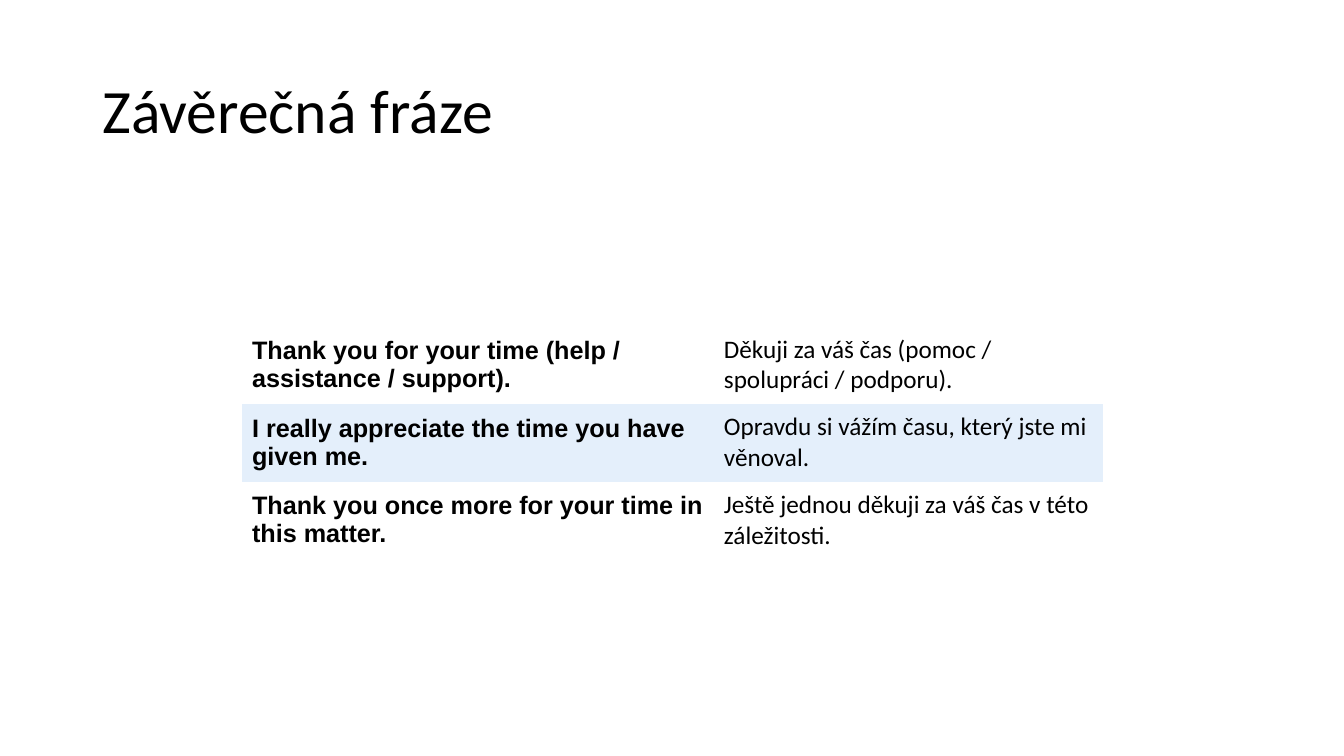
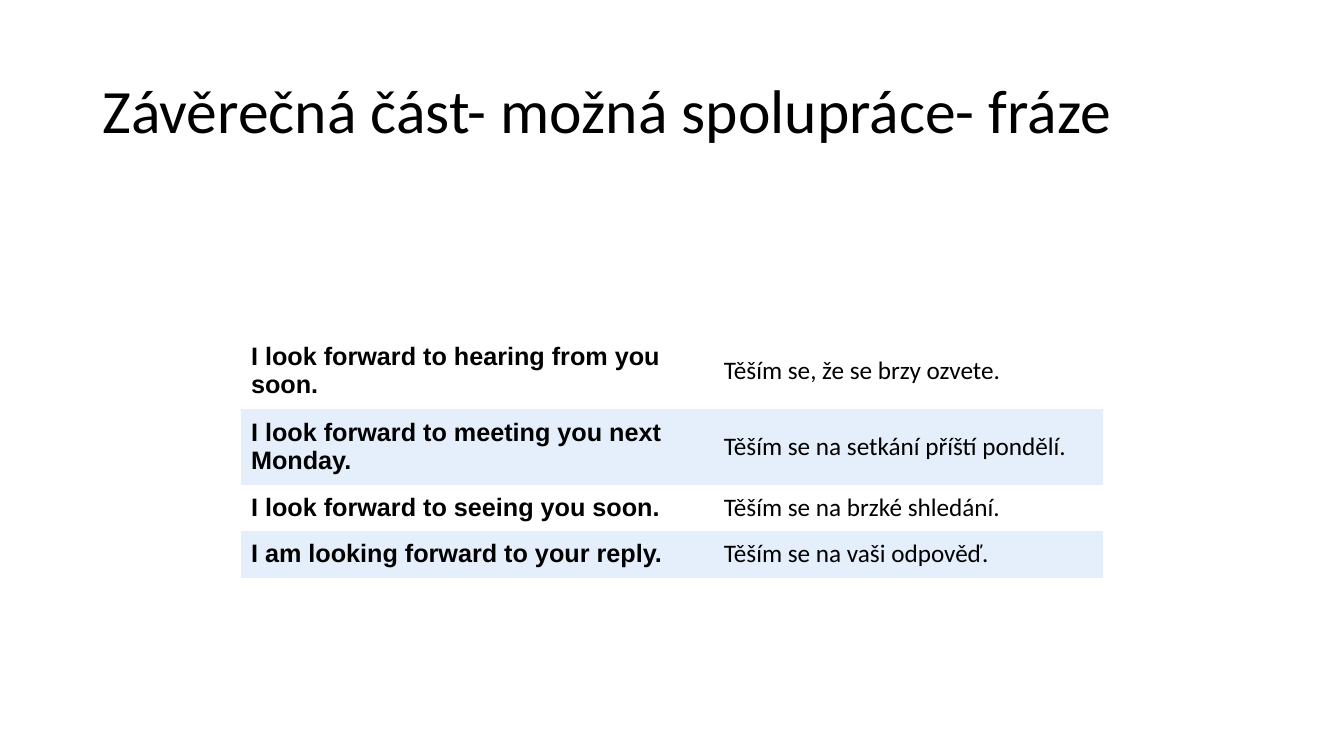
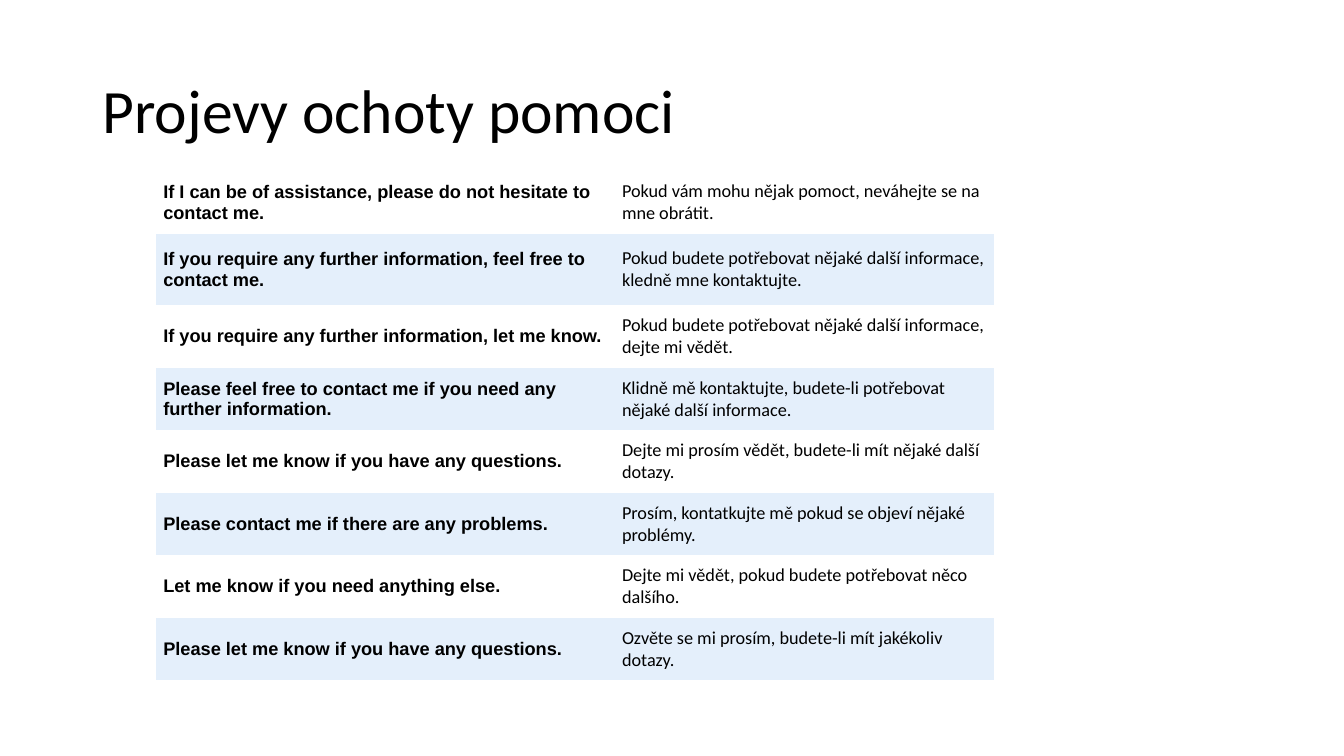
from dataclasses import dataclass

from pptx import Presentation
from pptx import util as u
from pptx.dml.color import RGBColor
from pptx.enum import text as t
from pptx.oxml.ns import qn
from pptx.slide import Slide
from pptx.table import _Cell
from pptx.text.text import TextFrame


@dataclass(frozen=True)
class Theme:
    ink: RGBColor = RGBColor(0x00, 0x00, 0x00)
    band: RGBColor = RGBColor(0xE4, 0xEF, 0xFB)
    english_font: str = "Arial"
    czech_font: str = "Calibri"
    title_size: int = 44
    phrase_size: int = 18
    small_size: int = 13
    plain_table: str = "{2D5ABB26-0587-4C30-8999-92F81FD0307C}"


THEME = Theme()


@dataclass(frozen=True)
class Margins:
    side: float
    top: float
    bottom: float


@dataclass(frozen=True)
class Phrase:
    english: str
    czech: str
    height: float


@dataclass(frozen=True)
class PhrasePage:
    title: str
    left: float
    top: float
    columns: tuple[float, float]
    phrases: list[Phrase]
    size: int = THEME.phrase_size
    margins: Margins = Margins(0.1, 0.07, 0.08)


PAGES = [
    PhrasePage("Závěrečná fráze", 2.4, 3.24, (4.68, 3.86), [
        Phrase("Thank you for your time (help / assistance / support).",
               "Děkuji za váš čas (pomoc / spolupráci / podporu).", 0.77),
        Phrase("I really appreciate the time you have given me.",
               "Opravdu si vážím času, který jste mi věnoval.", 0.77),
        Phrase("Thank you once more for your time in this matter.",
               "Ještě jednou děkuji za váš čas v této záležitosti.", 0.77),
    ]),
    PhrasePage("Závěrečná část- možná spolupráce- fráze", 2.39, 3.31, (4.69, 3.86), [
        Phrase("I look forward to hearing from you soon.",
               "Těším se, že se brzy ozvete.", 0.72),
        Phrase("I look forward to meeting you next Monday.",
               "Těším se na setkání příští pondělí.", 0.72),
        Phrase("I look forward to seeing you soon.",
               "Těším se na brzké shledání.", 0.46),
        Phrase("I am looking forward to your reply.",
               "Těším se na vaši odpověď.", 0.46),
    ]),
    PhrasePage("Projevy ochoty pomoci", 1.55, 1.7, (4.55, 3.76), [
        Phrase("If I can be of assistance, please do not hesitate to contact me.",
               "Pokud vám mohu nějak pomoct, neváhejte se na mne obrátit.", 0.62),
        Phrase("If you require any further information, feel free to contact me.",
               "Pokud budete potřebovat nějaké další informace, kledně mne kontaktujte.", 0.71),
        Phrase("If you require any further information, let me know.",
               "Pokud budete potřebovat nějaké další informace, dejte mi vědět.", 0.62),
        Phrase("Please feel free to contact me if you need any further information.",
               "Klidně mě kontaktujte, budete-li potřebovat nějaké další informace.", 0.62),
        Phrase("Please let me know if you have any questions.",
               "Dejte mi prosím vědět, budete-li mít nějaké další dotazy.", 0.62),
        Phrase("Please contact me if there are any problems.",
               "Prosím, kontatkujte mě pokud se objeví nějaké problémy.", 0.62),
        Phrase("Let me know if you need anything else.",
               "Dejte mi vědět, pokud budete potřebovat něco dalšího.", 0.62),
        Phrase("Please let me know if you have any questions.",
               "Ozvěte se mi prosím, budete-li mít jakékoliv dotazy.", 0.62),
    ], size=THEME.small_size, margins=Margins(0.07, 0.06, 0.06)),
]


def write(frame: TextFrame, words: str, *, font: str, size: int,
          bold: bool = False, line_spacing: float = 1.0) -> None:
    frame.word_wrap = True
    para = frame.paragraphs[0]
    para.line_spacing = line_spacing
    span = para.add_run()
    span.text = words
    span.font.name = font
    span.font.size = u.Pt(size)
    span.font.bold = bold
    span.font.color.rgb = THEME.ink


def add_title(slide: Slide, words: str) -> None:
    box = slide.shapes.add_textbox(u.Inches(0.92), u.Inches(0.4), u.Inches(11.5), u.Inches(1.45))
    box.text_frame.vertical_anchor = t.MSO_ANCHOR.MIDDLE
    write(box.text_frame, words, font=THEME.czech_font, size=THEME.title_size, line_spacing=0.9)


def style_cell(cell: _Cell, margins: Margins, banded: bool) -> None:
    cell.vertical_anchor = t.MSO_ANCHOR.MIDDLE
    cell.margin_left = cell.margin_right = u.Inches(margins.side)
    cell.margin_top = u.Inches(margins.top)
    cell.margin_bottom = u.Inches(margins.bottom)
    if banded:
        cell.fill.solid()
        cell.fill.fore_color.rgb = THEME.band
    else:
        cell.fill.background()


def add_phrase_table(slide: Slide, page: PhrasePage) -> None:
    """Draw English and Czech side by side, with every second row shaded."""
    height = sum(phrase.height for phrase in page.phrases)
    table = slide.shapes.add_table(
        len(page.phrases), len(page.columns), u.Inches(page.left), u.Inches(page.top),
        u.Inches(sum(page.columns)), u.Inches(height)).table
    table.first_row = table.horz_banding = False
    table._tbl.tblPr.find(qn("a:tableStyleId")).text = THEME.plain_table
    for column, width in zip(table.columns, page.columns):
        column.width = u.Inches(width)
    for index, (row, phrase) in enumerate(zip(table.rows, page.phrases)):
        row.height = u.Inches(phrase.height)
        english, czech = row.cells
        for cell in (english, czech):
            style_cell(cell, page.margins, banded=index % 2 == 1)
        write(english.text_frame, phrase.english, font=THEME.english_font,
              size=page.size, bold=True)
        write(czech.text_frame, phrase.czech, font=THEME.czech_font, size=page.size)


def main() -> None:
    deck = Presentation()
    deck.slide_width, deck.slide_height = u.Inches(13.33), u.Inches(7.5)
    blank = deck.slide_layouts[6]
    for page in PAGES:
        slide = deck.slides.add_slide(blank)
        add_title(slide, page.title)
        add_phrase_table(slide, page)
    deck.save("out.pptx")


if __name__ == "__main__":
    main()
